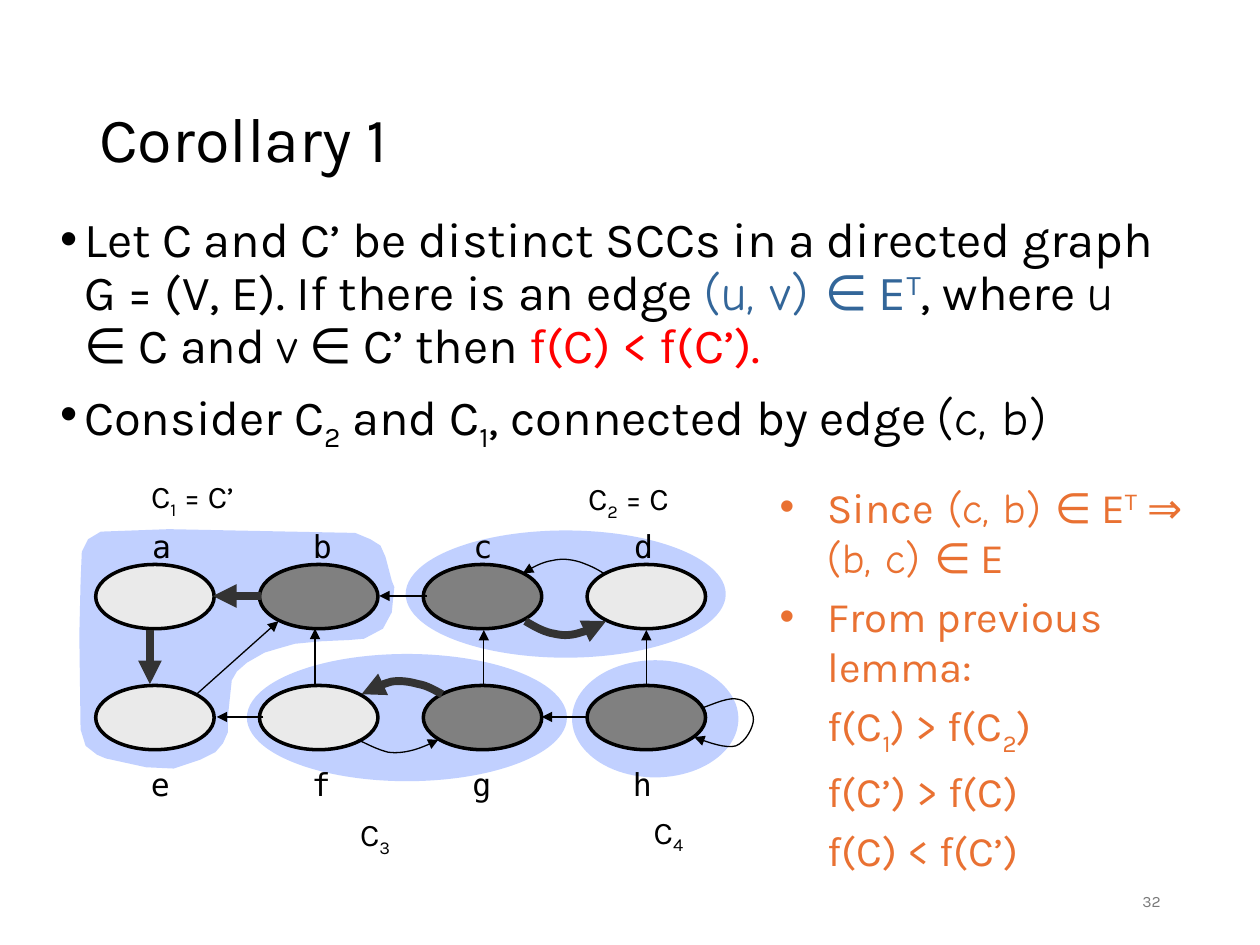
from lxml.etree import SubElement
from pptx import Presentation
from pptx.dml.color import RGBColor
from pptx.enum.shapes import MSO_CONNECTOR, MSO_SHAPE
from pptx.enum.text import MSO_ANCHOR, PP_ALIGN
from pptx.oxml.ns import qn
from pptx.util import Inches, Pt

BLACK = RGBColor(0, 0, 0)
RED = RGBColor(0xFF, 0, 0)
BLUE = RGBColor(0x33, 0x66, 0x99)
ORANGE = RGBColor(0xE9, 0x71, 0x32)
GREY = RGBColor(0x79, 0x79, 0x79)
REGION = RGBColor(0x33, 0x66, 0xFF)
LIGHT = RGBColor(0xEA, 0xEA, 0xEA)
DARK = RGBColor(0x80, 0x80, 0x80)
TREE_EDGE = RGBColor(0x33, 0x33, 0x33)
SANS, HAND, MONO = "Karla", "Comic Neue", "DejaVu Sans Mono"
SUB, SUPER = -25000, 30000

deck = Presentation()
deck.slide_width, deck.slide_height = Inches(10), Inches(7.5)
slide = deck.slides.add_slide(deck.slide_layouts[6])
shapes = slide.shapes
UNIT = deck.slide_width / 100


def grid(*lengths):
    return [round(length * UNIT) for length in lengths]


def write(box, paragraphs, size, colour=BLACK, font=SANS, hang=0, before=0, spacing=None, wrap=True):
    frame = shapes.add_textbox(*grid(*box)).text_frame
    frame.word_wrap = wrap
    for number, (bullet, runs) in enumerate(paragraphs):
        paragraph = frame.paragraphs[0] if number == 0 else frame.add_paragraph()
        if hang:
            properties = paragraph._p.get_or_add_pPr()
            properties.set("marL", str(Inches(hang)))
            properties.set("indent", str(-Inches(hang) if bullet else 0))
            if bullet:
                SubElement(properties, qn("a:buFont"), typeface="Arial")
                SubElement(properties, qn("a:buChar"), char=bullet)
        paragraph.space_before = Pt(before)
        if spacing:
            paragraph.line_spacing = spacing
        paragraph.font.size = Pt(size)
        paragraph.font.color.rgb = colour
        paragraph.font.name = font
        for text, *styles in runs:
            run = paragraph.add_run()
            run.text = text
            for style in styles:
                if isinstance(style, RGBColor):
                    run.font.color.rgb = style
                elif isinstance(style, str):
                    run.font.name = style
                else:
                    run.font._element.set("baseline", str(style))
    return frame


title = write((6.9, 4, 86.2, 14.5), [("", [("Corollary 1",)])], 36, spacing=0.9)
title.vertical_anchor = MSO_ANCHOR.MIDDLE

write((3.8, 16.6, 90, 24.9), [
    ("•", [("Let C and C’ be distinct SCCs in a directed graph G = (V, E). If there is an edge ",),
           ("(u, v) ", HAND, BLUE), ("∈ E", BLUE), ("T", BLUE, SUPER), (", where ",),
           ("u ", HAND), ("∈ C and ",), ("v", HAND), (" ∈ C’ then ",), ("f(C) < f(C’).", RED)]),
    ("•", [("Consider C",), ("2", SUB), (" and C",), ("1", SUB),
           (", connected by edge ",), ("(c, b)", HAND)]),
], 28, hang=0.19, before=7.5, spacing=0.9)

page = write((70.6, 69.5, 22.5, 4), [("", [("32",)])], 9, GREY)
page.vertical_anchor = MSO_ANCHOR.MIDDLE
page.paragraphs[0].alignment = PP_ALIGN.RIGHT

outline = [grid(*point) for point in [
    (8, 42.2), (13.4, 42), (28.2, 42.3), (29.4, 42.8), (30.2, 43.3), (30.6, 44.2),
    (31.1, 46.1), (31.3, 46.6), (31.1, 48.6), (30.4, 49.9), (28.9, 50.7), (27.7, 50.8),
    (25.5, 50.9), (23.4, 51.1), (22, 51.5), (21, 51.8), (19.6, 52.6), (18.8, 53.3),
    (18.4, 54), (18.1, 56.8), (18.1, 58.1), (17.7, 59), (17.1, 59.7), (15.9, 60.3),
    (13.8, 61), (11.6, 60.9), (8.4, 60.2), (7.7, 59.9), (6.8, 59.2), (6.4, 57.9),
    (6.3, 50.4), (6.4, 46.2), (6.5, 43.8), (7, 42.8)]]
builder = shapes.build_freeform(*outline[0])
builder.add_line_segments(outline[1:], close=True)
regions = [builder.convert_to_shape()]
for box in [(45.4, 52.4, 13.2, 9.3), (32.2, 42.1, 25.4, 10.1), (19.6, 51.9, 25.4, 10.1)]:
    regions.append(shapes.add_shape(MSO_SHAPE.OVAL, *grid(*box)))
for region in regions:
    region.shadow.inherit = False
    region.fill.solid()
    region.fill.fore_color.rgb = REGION
    region.line.fill.background()
    SubElement(region._element.spPr.find(".//" + qn("a:srgbClr")), qn("a:alpha"), val="30000")

for left, top, width, index, rest in [
        (11, 37.4, 9.9, "1", " = C’"), (45.7, 37.5, 9.4, "2", " = C"),
        (27.6, 64.2, 4.7, "3", ""), (50.9, 64, 4.7, "4", "")]:
    name = [("C",), (index, SUB)] + ([(rest,)] if rest else [])
    write((left, top, width, 4), [("", name)], 18, wrap=False)

for row, (letters, fills, label_top) in enumerate([
        ("abcd", (LIGHT, DARK, DARK, LIGHT), 41.3),
        ("efgh", (LIGHT, LIGHT, DARK, DARK), 60.2)]):
    for column, (letter, fill) in enumerate(zip(letters, fills)):
        node = shapes.add_shape(
            MSO_SHAPE.OVAL, *grid(7.6 + 13 * column, 44.8 + 9.6 * row, 9.4, 5.1))
        node.shadow.inherit = False
        node.fill.solid()
        node.fill.fore_color.rgb = fill
        node.line.color.rgb = BLACK
        node.line.width = Pt(2)
        write((11.1 - 0.1 * row + 12.75 * column, label_top, 3, 4),
              [("", [(letter,)])], 18, font=MONO, wrap=False)

edges = []
for start, end, heavy in [
        ((20.7, 47.3), (16.9, 47.3), True), ((33.9, 47.3), (30.1, 47.3), False),
        ((20.9, 56.9), (17.2, 56.9), False), ((46.7, 56.9), (43, 56.9), False),
        ((11.9, 50), (11.9, 54.3), True), ((25, 54.3), (25, 49.9), False),
        ((38.4, 54.4), (38.4, 50), False), ((51.3, 54.3), (51.3, 50), False),
        ((15.6, 55.1), (22.1, 49.3), False)]:
    edges.append((shapes.add_connector(MSO_CONNECTOR.STRAIGHT, *grid(*start, *end)), heavy))

for controls, heavy in [
        ([(35.1, 55.1), (34.5, 54.8), (33.9, 54.4), (33.2, 54.3), (32.5, 54.1),
          (31.8, 54), (31.1, 54.1), (30.3, 54.3), (29.5, 54.7), (28.7, 55.1)], True),
        ([(47.9, 45.5), (47.3, 45.1), (46.6, 44.8), (46, 44.6), (45.3, 44.4),
          (44.6, 44.3), (43.8, 44.5), (43.1, 44.6), (42.3, 45), (41.5, 45.5)], False),
        ([(41.7, 49.3), (42.5, 49.8), (43.3, 50.2), (44, 50.3), (44.8, 50.5),
          (45.5, 50.4), (46.1, 50.2), (46.8, 50), (47.4, 49.7), (48.1, 49.3)], True),
        ([(28.4, 58.7), (29.2, 59.1), (30, 59.5), (30.8, 59.7), (31.5, 59.8),
          (32.2, 59.7), (32.9, 59.5), (33.6, 59.3), (34.2, 59), (34.8, 58.7)], False),
        ([(55.7, 56.2), (56.8, 55.8), (57.9, 55.3), (58.6, 55.5), (59.3, 55.6),
          (59.8, 56.5), (59.8, 57.1), (59.8, 57.7), (59.2, 58.9), (58.4, 59.2),
          (57.6, 59.4), (56.4, 59), (55.1, 58.5)], False)]:
    builder = shapes.build_freeform(*grid(*controls[0]))
    for first in range(0, len(controls) - 1, 3):
        for t in [step / 8 for step in range(1, 9)]:
            weights = ((1 - t) ** 3, 3 * t * (1 - t) ** 2, 3 * t ** 2 * (1 - t), t ** 3)
            point = [sum(w * c for w, c in zip(weights, axis))
                     for axis in zip(*controls[first:first + 4])]
            builder.add_line_segments([grid(*point)], close=False)
    curve = builder.convert_to_shape()
    curve.fill.background()
    edges.append((curve, heavy))

for edge, heavy in edges:
    edge.line.color.rgb = TREE_EDGE if heavy else BLACK
    edge.line.width = Pt(4.5 if heavy else 0.75)
    SubElement(edge.line._get_or_add_ln(), qn("a:tailEnd"), type="triangle")
    SubElement(edge._element.spPr, qn("a:effectLst"))

write((60.9, 37.7, 36.3, 31.8), [
    ("•", [("Since",), (" (c, b) ", HAND), ("∈ E",), ("T", SUPER), (" ⇒ ",),
           ("(b, c) ", HAND), ("∈ E",)]),
    ("•", [("From previous lemma:",)]),
    ("", [("f(C",), ("1", SUB), (") > f(C",), ("2", SUB), (")",)]),
    ("", [("f(C’) > f(C)",)]),
    ("", [("f(C) < f(C’)",)]),
], 24, ORANGE, hang=0.38, before=4.8)

deck.save("out.pptx")
